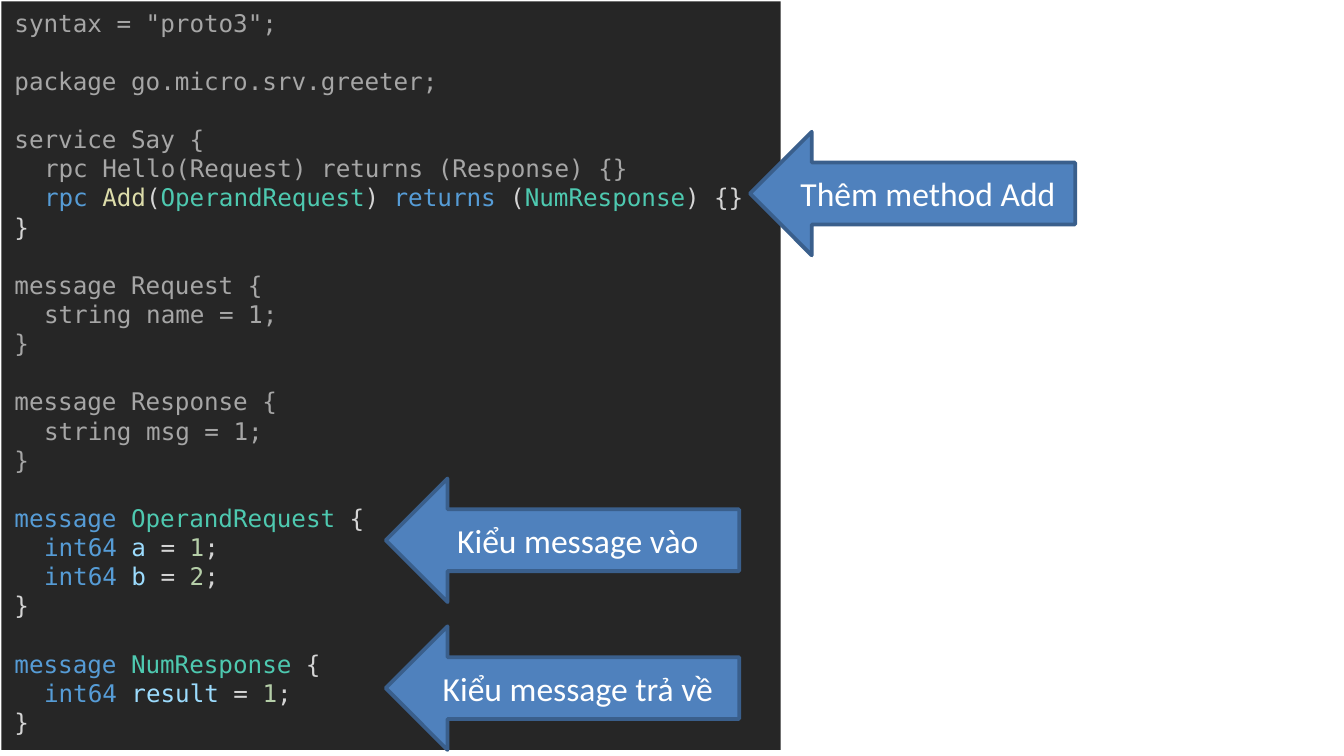
"""Build a slide that explains a proto3 service definition with three callouts."""
from dataclasses import dataclass

from pptx import Presentation
from pptx.dml.color import RGBColor
from pptx.enum.shapes import MSO_SHAPE
from pptx.enum.text import MSO_ANCHOR, PP_ALIGN
from pptx.util import Inches, Pt

MUTED, PLAIN, KEYWORD = "A6A6A6", "D4D4D4", "569CD6"
METHOD, TYPE, FIELD, NUMBER = "DCDCAA", "4EC9B0", "9CDCFE", "B5CEA8"
CODE_FORMAT = {"name": "DejaVu Sans Mono", "size": Pt(13)}
LABEL_FORMAT = {"name": "Calibri", "size": Pt(18)}


def rgb(color):
    return RGBColor.from_string(color)


def muted(text):
    return [(text, MUTED)]


def message_head(name):
    return [("message ", KEYWORD), (name, TYPE), (" {", PLAIN)]


def field(name, number):
    return [("int64 ", KEYWORD), (name, FIELD), (" = ", PLAIN),
            (number, NUMBER), (";", PLAIN)]


ADD_METHOD = [
    ("rpc ", KEYWORD), ("Add", METHOD), ("(", PLAIN), ("OperandRequest", TYPE),
    (") ", PLAIN), ("returns", KEYWORD), (" (", PLAIN), ("NumResponse", TYPE),
    (") {}", PLAIN),
]
BRACE = [("}", PLAIN)]

BLOCKS = [
    (muted('syntax = "proto3";'), [], None),
    (muted("package go.micro.srv.greeter;"), [], None),
    (muted("service Say {"),
     [muted("rpc Hello(Request) returns (Response) {}"), ADD_METHOD], BRACE),
    (muted("message Request {"), [muted("string name = 1;")], muted("}")),
    (muted("message Response {"), [muted("string msg = 1;")], muted("}")),
    (message_head("OperandRequest"), [field("a", "1"), field("b", "2")], BRACE),
    (message_head("NumResponse"), [field("result", "1")], BRACE),
]
CALLOUTS = [
    ("Thêm method Add", 5.58, 0.98, 2.42),
    ("Kiểu message vào", 2.87, 3.56, 2.63),
    ("Kiểu message trả về", 2.87, 4.66, 2.63),
]


@dataclass
class CodeSlide:
    slide: object
    panel_fill: str = "262626"
    arrow_fill: str = "4F81BD"
    arrow_line: str = "3A5F8C"
    label_color: str = "FFFFFF"
    line_pitch: float = 15.6
    indent: float = 0.22

    def shape(self, preset, box, fill):
        shape = self.slide.shapes.add_shape(preset, *map(Inches, box))
        shape.shadow.inherit = False
        shape.fill.solid()
        shape.fill.fore_color.rgb = rgb(fill)
        return shape

    def run(self, paragraph, text, color, font_format):
        run = paragraph.add_run()
        run.text = text
        run.font.color.rgb = rgb(color)
        for name, value in font_format.items():
            setattr(run.font, name, value)

    def code_panel(self, blocks, box):
        panel = self.shape(MSO_SHAPE.RECTANGLE, box, self.panel_fill)
        panel.line.fill.background()
        frame = panel.text_frame
        frame.word_wrap = True
        frame.vertical_anchor = MSO_ANCHOR.TOP
        for head, body, closing in blocks:
            lines = [head, *body] + ([closing] if closing else [])
            for position, line in enumerate(lines):
                first = not frame.paragraphs[0].runs
                paragraph = frame.paragraphs[0] if first else frame.add_paragraph()
                paragraph.alignment = PP_ALIGN.LEFT
                if position == 0 and not first:
                    paragraph.space_before = Pt(self.line_pitch)
                if line in body:
                    properties = paragraph._p.get_or_add_pPr()
                    properties.set("marL", str(Inches(self.indent)))
                for text, color in line:
                    self.run(paragraph, text, color, CODE_FORMAT)

    def callout(self, label, left, top, width, height=0.92):
        arrow = self.shape(MSO_SHAPE.LEFT_ARROW, (left, top, width, height),
                           self.arrow_fill)
        arrow.line.color.rgb = rgb(self.arrow_line)
        arrow.line.width = Pt(2)
        frame = arrow.text_frame
        frame.word_wrap = True
        frame.vertical_anchor = MSO_ANCHOR.MIDDLE
        paragraph = frame.paragraphs[0]
        paragraph.alignment = PP_ALIGN.CENTER
        self.run(paragraph, label, self.label_color, LABEL_FORMAT)


def main():
    presentation = Presentation()
    presentation.slide_width = Inches(10)
    presentation.slide_height = presentation.slide_width * 9 // 16
    blank = presentation.slide_layouts[6]
    page = CodeSlide(presentation.slides.add_slide(blank))
    page.code_panel(BLOCKS, (0.01, 0.01, 5.8, 5.57))
    for callout in CALLOUTS:
        page.callout(*callout)
    presentation.save("out.pptx")


if __name__ == "__main__":
    main()
